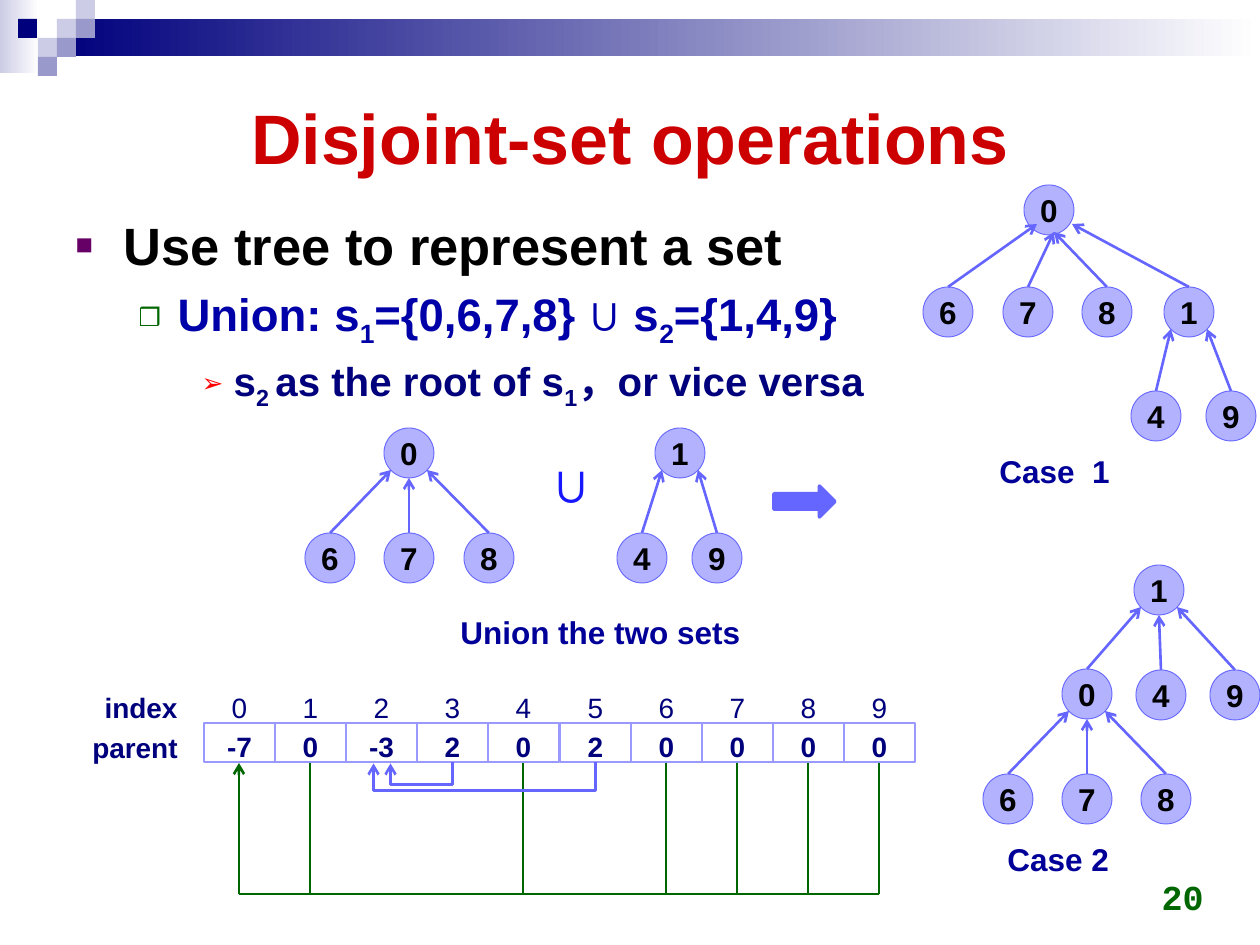
from dataclasses import dataclass

from lxml.etree import SubElement
from pptx import Presentation
from pptx.dml.color import RGBColor
from pptx.enum.shapes import MSO_CONNECTOR, MSO_SHAPE
from pptx.enum.text import MSO_ANCHOR, MSO_AUTO_SIZE, PP_ALIGN
from pptx.oxml.ns import qn
from pptx.util import Pt

PX = 914400 / 126


@dataclass
class Theme:
    font: str = "Arial"
    red: str = "CC0000"
    black: str = "000000"
    navy: str = "00007D"
    blue: str = "0000A8"
    caption: str = "000099"
    union: str = "1818FF"
    edge: str = "6565FF"
    node: str = "B2B2FF"
    cell: str = "9999FF"
    green: str = "006600"
    purple: str = "660066"
    bright_red: str = "FF0000"
    pale: str = "CCCCE6"
    mid: str = "9999CC"
    white: str = "FFFFFF"
    title_size: int = 40
    body_sizes: tuple = (30, 26, 23)
    union_size: int = 32
    page_size: int = 20
    label_size: int = 18
    array_size: int = 16


theme = Theme()
presentation = Presentation()
presentation.slide_width = round(1260 * PX)
presentation.slide_height = round(945 * PX)
slide = presentation.slides.add_slide(presentation.slide_layouts[1])
shapes = slide.shapes


def add_box(box, kind=None, text="", size=theme.label_size, color=theme.black, bold=True,
            align=PP_ALIGN.CENTER, anchor=MSO_ANCHOR.TOP, fill=None, line=None, width=0.5,
            font=theme.font):
    """Add a text box, or a preset shape when kind is given, at box in px."""
    place = [round(value * PX) for value in box]
    if kind is None:
        shape = shapes.add_textbox(*place)
    else:
        shape = shapes.add_shape(kind, *place)
        shape.shadow.inherit = False
        if isinstance(fill, tuple):
            shape.fill.gradient()
            shape.fill.gradient_angle = 0
            for stop, position, shade in zip(shape.fill.gradient_stops, (0, 1), fill):
                stop.position = position
                stop.color.rgb = RGBColor.from_string(shade)
        elif fill:
            shape.fill.solid()
            shape.fill.fore_color.rgb = RGBColor.from_string(fill)
        else:
            shape.fill.background()
        if line:
            shape.line.color.rgb = RGBColor.from_string(line)
            shape.line.width = Pt(width)
        else:
            shape.line.fill.background()
    if text:
        frame = shape.text_frame
        frame.text = text
        frame.word_wrap = False
        frame.vertical_anchor = anchor
        paragraph = frame.paragraphs[0]
        paragraph.alignment = align
        paragraph.font.name = font
        paragraph.font.size = Pt(size)
        paragraph.font.bold = bold
        paragraph.font.color.rgb = RGBColor.from_string(color)
    return shape


def add_line(start, end, color=theme.edge, arrow=True, kind=MSO_CONNECTOR.STRAIGHT):
    connector = shapes.add_connector(kind, *[round(value * PX) for value in (*start, *end)])
    connector.line.color.rgb = RGBColor.from_string(color)
    connector.line.width = Pt(1.5)
    if arrow:
        SubElement(connector.line._get_or_add_ln(), qn("a:tailEnd"), type="arrow")
    SubElement(connector._element.spPr, qn("a:effectLst"))
    return connector


# Header decoration
add_box((0, 0, 39, 73), MSO_SHAPE.RECTANGLE, fill=(theme.pale, theme.white))
add_box((57, 19, 1203, 37), MSO_SHAPE.RECTANGLE, fill=(theme.navy, theme.white))
for left, top, color in [(57, 19, theme.pale), (76, 0, theme.pale), (76, 19, theme.mid),
                         (38, 38, theme.pale), (18, 19, theme.navy), (57, 38, theme.mid),
                         (38, 57, theme.mid)]:
    add_box((left, top, 19, 19), MSO_SHAPE.RECTANGLE, fill=color)

# Title
title = shapes.title
title.left, title.top, title.width, title.height = [round(v * PX) for v in (63, 64, 1134, 146)]
title.text_frame.text = "Disjoint-set operations"
title.text_frame.vertical_anchor = MSO_ANCHOR.MIDDLE
title_paragraph = title.text_frame.paragraphs[0]
title_paragraph.alignment = PP_ALIGN.CENTER
title_font = title_paragraph.runs[0].font
title_font.name, title_font.size, title_font.bold = theme.font, Pt(theme.title_size), True
title_font.color.rgb = RGBColor.from_string(theme.red)

# Bulleted list: bullet, its colour and size, left margin, hanging indent, space before,
# text colour, runs
body = slide.placeholders[1]
body.left, body.top, body.width, body.height = [round(v * PX) for v in (63, 204, 1134, 655)]
body.text_frame.auto_size = MSO_AUTO_SIZE.NONE
SUBSCRIPTS = ("1", "2", "2 ")
items = [
    ("■", theme.purple, 55, 48, 48, 0, theme.black, ["Use tree to represent a set"]),
    ("❒", theme.green, 55, 102, 39, 4, theme.blue,
     ["Union: s", "1", "={0,6,7,8} ∪ s", "2", "={1,4,9}"]),
    ("➢", theme.bright_red, 65, 158, 32, 3, theme.navy,
     ["s", "2 ", "as the root of s", "1", "，or vice versa"]),
]
for level, (bullet, bullet_color, percent, margin, hanging, gap, color, parts) in enumerate(items):
    frame = body.text_frame
    paragraph = frame.add_paragraph() if level else frame.paragraphs[0]
    paragraph.level = level
    properties = paragraph._p.get_or_add_pPr()
    properties.set("marL", str(round(margin * PX)))
    properties.set("indent", str(round(-hanging * PX)))
    SubElement(SubElement(properties, qn("a:buClr")), qn("a:srgbClr"), val=bullet_color)
    SubElement(properties, qn("a:buSzPct"), val=str(percent * 1000))
    SubElement(properties, qn("a:buFont"), typeface=theme.font)
    SubElement(properties, qn("a:buChar"), char=bullet)
    paragraph.line_spacing = 1.05
    paragraph.space_before = Pt(gap)
    for part in parts:
        run = paragraph.add_run()
        run.text = part
        run.font.name, run.font.bold = theme.font, True
        run.font.size = Pt(theme.body_sizes[level])
        run.font.color.rgb = RGBColor.from_string(color)
        if part in SUBSCRIPTS:
            run.font._element.set("baseline", "-25000")

# Trees: node positions, then child, parent and where the arrow meets the parent
NODE = 50
LEFT, BOTTOM, RIGHT = (7, 42), (25, 50), (43, 42)
trees = [
    ({"0": (384, 428), "6": (305, 533), "7": (384, 533), "8": (464, 533)},
     [("6", "0", LEFT), ("7", "0", BOTTOM), ("8", "0", RIGHT)]),
    ({"1": (655, 428), "4": (617, 533), "9": (692, 533)},
     [("4", "1", LEFT), ("9", "1", RIGHT)]),
    ({"0": (1024, 185), "6": (923, 287), "7": (1003, 287), "8": (1082, 287),
      "1": (1164, 287), "4": (1131, 391), "9": (1206, 391)},
     [("6", "0", (13, 39)), ("7", "0", (30, 47)), ("8", "0", (30, 47)),
      ("1", "0", (48, 39)), ("4", "1", LEFT), ("9", "1", RIGHT)]),
    ({"1": (1134, 565), "0": (1062, 669), "4": (1136, 670), "9": (1210, 670),
      "6": (983, 774), "7": (1062, 774), "8": (1141, 774)},
     [("0", "1", LEFT), ("4", "1", BOTTOM), ("9", "1", RIGHT),
      ("6", "0", LEFT), ("7", "0", BOTTOM), ("8", "0", RIGHT)]),
]
for nodes, edges in trees:
    for label, (left, top) in nodes.items():
        add_box((left, top, NODE, NODE), MSO_SHAPE.OVAL, label, anchor=MSO_ANCHOR.MIDDLE,
                fill=theme.node, line=theme.edge)
    for child, parent, (dx, dy) in edges:
        (child_left, child_top), (parent_left, parent_top) = nodes[child], nodes[parent]
        add_line((child_left + NODE // 2, child_top), (parent_left + dx, parent_top + dy))

add_box((531, 441, 69, 81), text="∪", size=theme.union_size, color=theme.union,
        align=PP_ALIGN.LEFT, font="Times New Roman")
add_box((774, 486, 61, 31), MSO_SHAPE.RIGHT_ARROW, fill=theme.edge, line=theme.edge, width=2)
for text, box in [("Union the two sets", (448, 607, 309, 50)),
                  ("Case  1", (987, 446, 137, 50)), ("Case 2", (995, 834, 129, 50))]:
    add_box(box, text=text, color=theme.caption, align=PP_ALIGN.LEFT)

# Parent array
INDEX_TOP, CELL_TOP, CELL_BOTTOM, BUS = 684, 723, 763, 894
for text, top in [("index", INDEX_TOP), ("parent", CELL_TOP + 1)]:
    add_box((60, top, 130, 39), text=text, size=theme.array_size, color=theme.navy,
            align=PP_ALIGN.RIGHT)
parents = [-7, 0, -3, 2, 0, 2, 0, 0, 0, 0]
centers = [239 + 712 * index // 10 for index in range(len(parents))]
for index, (parent, center) in enumerate(zip(parents, centers)):
    add_box((center - 35, INDEX_TOP, 71, 39), text=str(index), size=theme.array_size,
            color=theme.navy, bold=False)
    add_box((center - 35, CELL_TOP, 71, 39), MSO_SHAPE.RECTANGLE, str(parent),
            theme.array_size, theme.navy, line=theme.cell, width=0.75)
    if parent == 0:
        add_line((center, CELL_BOTTOM), (center, BUS), theme.green, arrow=False)
add_line((centers[-1], BUS), (centers[0], BUS), theme.green, arrow=False)
add_line((centers[0], BUS), (centers[0], CELL_BOTTOM), theme.green)

# U-shaped links are elbows one px wide, turned a quarter; the adjustment sets their depth
for start, end, depth in [(centers[3], 390, 22), (centers[5], 373, 28)]:
    middle, half = (start + end) / 2, (start - end) / 2
    link = add_line((middle, CELL_BOTTOM - half), (middle + 1, CELL_BOTTOM + half),
                    kind=MSO_CONNECTOR.ELBOW)
    properties = link._element.spPr
    properties.find(qn("a:xfrm")).set("rot", "5400000")
    guides = properties.find(qn("a:prstGeom")).find(qn("a:avLst"))
    SubElement(guides, qn("a:gd"), name="adj1", fmla=f"val {depth * 100000}")

add_box((922, 861, 294, 63), text="20", size=theme.page_size, color=theme.green,
        align=PP_ALIGN.RIGHT, anchor=MSO_ANCHOR.BOTTOM, font="Courier New")

presentation.save("out.pptx")
